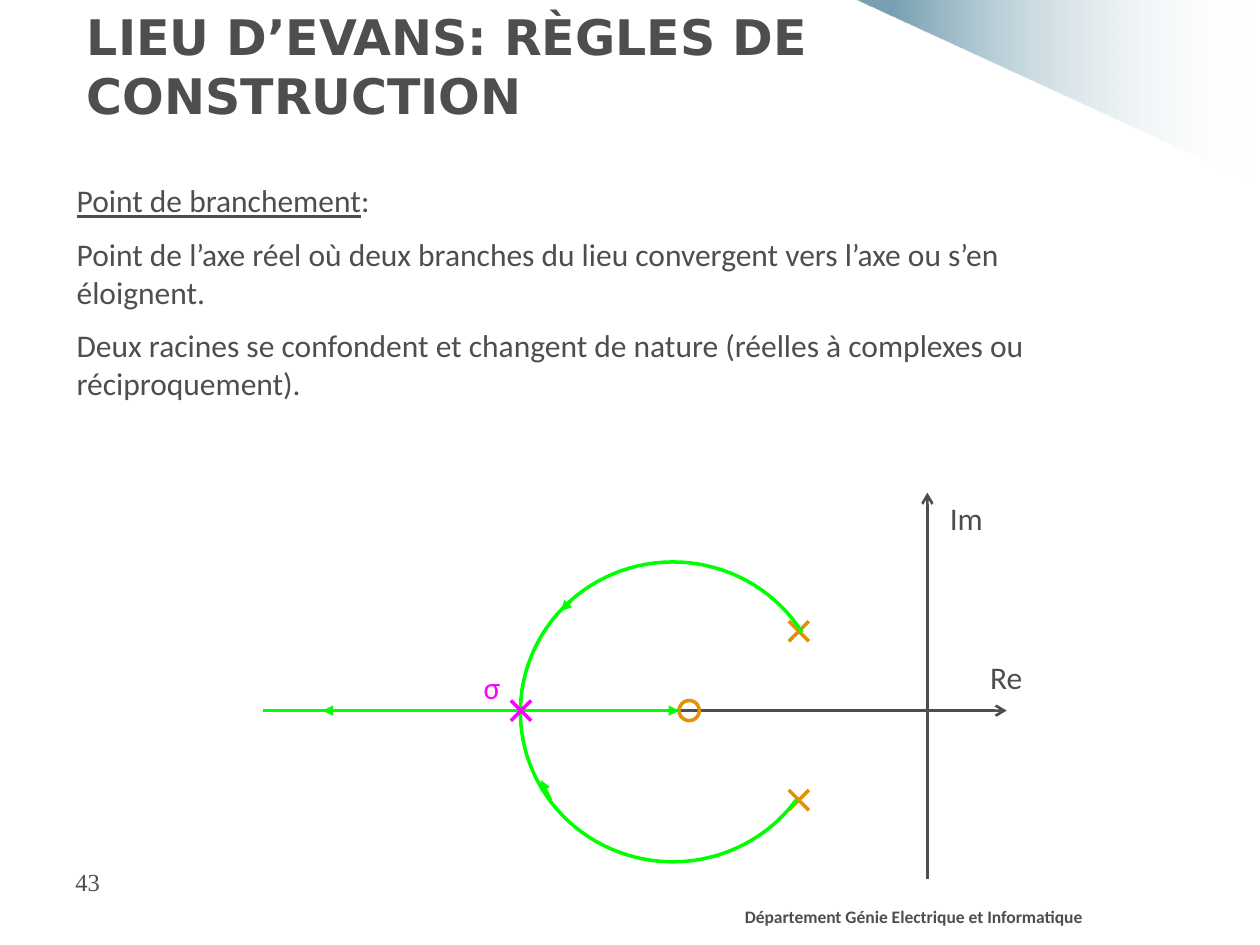
import math
from dataclasses import dataclass

from lxml import etree
from pptx import Presentation
from pptx import util as u
from pptx.dml.color import RGBColor
from pptx.enum import shapes, text
from pptx.oxml.ns import qn


@dataclass(frozen=True)
class Theme:
    ink: str = "4F4D50"
    locus: str = "00FF00"
    root: str = "E29100"
    branch: str = "FF00FF"
    wedge: str = "004D6F"
    paper: str = "FFFFFF"
    body_font: str = "Calibri"
    title_font: str = "DejaVu Sans"
    number_font: str = "Times New Roman"
    title: int = 28
    body: int = 18
    number: int = 14
    footer: int = 10
    axis_width: float = 1.5
    mark_width: float = 2


THEME = Theme()


@dataclass(frozen=True)
class Box:
    """An area in inches, divided into columns and rows."""
    left: float
    top: float
    width: float
    height: float
    columns: float = 1
    rows: float = 1

    def point(self, column, row):
        return (u.Inches(self.left + column * self.width / self.columns),
                u.Inches(self.top + row * self.height / self.rows))

    def cell(self, column, row, wide, high):
        across, down = self.width / self.columns, self.height / self.rows
        return Box(self.left + column * across, self.top + row * down,
                   wide * across, high * down)

    def place(self):
        return [u.Inches(v) for v in (self.left, self.top, self.width, self.height)]


def rgb(value):
    return RGBColor.from_string(value)


def write(shape, paragraphs, size, font=THEME.body_font, color=THEME.ink,
          align=text.PP_ALIGN.LEFT, gap=0, bold=False):
    """Fill a shape with paragraphs, each a list of (words, underlined)."""
    frame = shape.text_frame
    settings = {"word_wrap": True, "auto_size": text.MSO_AUTO_SIZE.NONE,
                "vertical_anchor": text.MSO_ANCHOR.TOP}
    for name, value in settings.items():
        setattr(frame, name, value)
    for index, spans in enumerate(paragraphs):
        para = frame.add_paragraph() if index else frame.paragraphs[0]
        para.alignment = align
        para.space_before = u.Pt(gap if index else 0)
        for words, underlined in spans:
            span = para.add_run()
            span.text = words
            look = {"size": u.Pt(size), "name": font, "bold": bold,
                    "underline": underlined}
            for name, value in look.items():
                setattr(span.font, name, value)
            span.font.color.rgb = rgb(color)


def add_text(page, box, paragraphs, size, **look):
    write(page.shapes.add_textbox(*box.place()), paragraphs, size, **look)


def add_line(page, box, start, end, color, width=THEME.mark_width, arrow=None):
    line = page.shapes.add_connector(shapes.MSO_CONNECTOR.STRAIGHT,
                                     *box.point(*start), *box.point(*end))
    line.line.color.rgb = rgb(color)
    line.line.width = u.Pt(width)
    properties = line._element.spPr
    if arrow:
        etree.SubElement(properties.find(qn("a:ln")), qn("a:tailEnd"), type=arrow)
    etree.SubElement(properties, qn("a:effectLst"))


def add_outline(page, points, closed):
    builder = page.shapes.build_freeform(*points[0])
    builder.add_line_segments(points[1:], close=closed)
    shape = builder.convert_to_shape()
    shape.shadow.inherit = False
    return shape


def add_cross(page, box, center, color, half=0.8):
    x, y = center
    for rise in (half, -half):
        add_line(page, box, (x - half, y + rise), (x + half, y - rise), color)


def corner_wedge(page, box):
    shape = add_outline(page, [box.point(0, 0), box.point(1, 0), box.point(1, 1)], True)
    shape.line.fill.background()
    shape.fill.gradient()
    shape.fill.gradient_angle = 0
    looks = ((0.09, THEME.wedge, 53), (0.99, THEME.paper, 0))
    for stop, (position, color, _) in zip(shape.fill.gradient_stops, looks):
        stop.position = position
        stop.color.rgb = rgb(color)
    colors = shape._element.spPr.iter(qn("a:srgbClr"))
    for node, (_, _, opacity) in zip(colors, looks):
        etree.SubElement(node, qn("a:alpha"), val=str(opacity * 1000))


def heading(page, box, words):
    title = page.shapes.title
    for name, value in zip(("left", "top", "width", "height"), box.place()):
        setattr(title, name, value)
    write(title, [[(words, False)]], THEME.title, font=THEME.title_font, bold=True)


def explanation(page, box):
    add_text(page, box, [
        [("Point de branchement", True), (":", False)],
        [("Point de l’axe réel où deux branches du lieu convergent vers l’axe "
          "ou s’en éloignent.", False)],
        [("Deux racines se confondent et changent de nature (réelles à complexes "
          "ou réciproquement).", False)],
    ], THEME.body, gap=9)


def footer(page, box):
    add_text(page, box.cell(0.05, 0, 0.21, 1), [[("43", False)]], THEME.number,
             font=THEME.number_font)
    add_text(page, box.cell(0.45, 0.62, 0.55, 0.48),
             [[("Département Génie Electrique et Informatique", False)]],
             THEME.footer, bold=True, align=text.PP_ALIGN.CENTER)


def locus_arc(page, box, center, radii, first, last, steps=90):
    """Draw the circular branches, clockwise between two angles in degrees."""
    points = []
    for step in range(steps + 1):
        angle = math.radians(first + (last - first) * step / steps)
        points.append(box.point(center[0] + radii[0] * math.cos(angle),
                                center[1] + radii[1] * math.sin(angle)))
    arc = add_outline(page, points, False)
    arc.fill.background()
    arc.line.color.rgb = rgb(THEME.locus)
    arc.line.width = u.Pt(THEME.mark_width)


def root_locus(page, box):
    real, imaginary, branch, zero = 17.3, 52.7, 20.45, 33.8
    axes = (((imaginary, box.rows), (imaginary, 0)), ((0, real), (box.columns, real)))
    for start, end in axes:
        add_line(page, box, start, end, THEME.ink, THEME.axis_width, "arrow")

    ring = page.shapes.add_shape(shapes.MSO_SHAPE.OVAL,
                                 *box.cell(zero - 0.8, real - 0.8, 1.6, 1.6).place())
    ring.shadow.inherit = False
    ring.fill.background()
    ring.line.color.rgb = rgb(THEME.root)
    ring.line.width = u.Pt(THEME.mark_width)
    for row in (24.4, 11):
        add_cross(page, box, (42.5, row), THEME.root)

    locus_arc(page, box, (32.5, 17.4), (12.1, 11.9), 36, 328)
    directions = (((24.4, 8.6), (23.6, 9.4)), ((22.8, 24.4), (22, 22.8)),
                  ((branch, real), (zero - 0.8, real)), ((branch, real), (4.7, real)))
    for start, end in directions:
        add_line(page, box, start, end, THEME.locus, arrow="triangle")
    add_line(page, box, (12.6, real), (0, real), THEME.locus)
    add_cross(page, box, (branch, real), THEME.branch)

    labels = (("Im", 53.5, 0, THEME.ink), ("Re", 56.7, 12.6, THEME.ink),
              ("σ", 16.5, 13.4, THEME.branch))
    for words, column, row, color in labels:
        add_text(page, box.cell(column, row, 8.7, 4.3), [[(words, False)]],
                 THEME.body, color=color)


def main():
    deck = Presentation()
    deck.slide_width, deck.slide_height = u.Inches(10), u.Inches(7.5)
    page = deck.slides.add_slide(deck.slide_layouts.get_by_name("Title Only"))
    corner_wedge(page, Box(6.79, 0, 3.21, 1.47))
    heading(page, Box(0.59, 0, 8.5, 1.25), "LIEU D’EVANS: RÈGLES DE CONSTRUCTION")
    explanation(page, Box(0.51, 1.39, 8.59, 2.6))
    root_locus(page, Box(2.09, 3.91, 5.9, 3.07, columns=59, rows=30.7))
    footer(page, Box(0, 6.83, 10, 0.5))
    deck.save("out.pptx")


if __name__ == "__main__":
    main()
